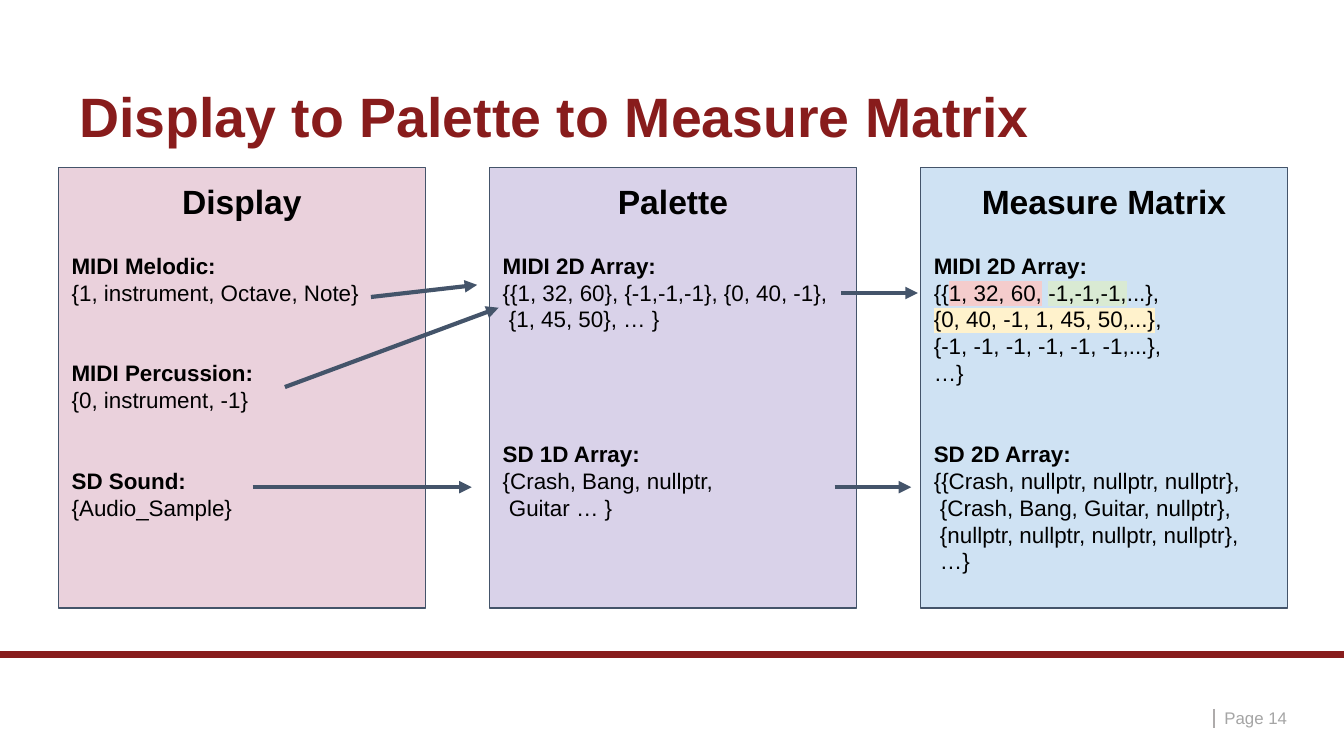
import pptx
import pptx.util
import pptx.dml.color
import pptx.enum.shapes
import pptx.enum.text
import pptx.oxml.ns
from lxml import etree

RGB = pptx.dml.color.RGBColor
MAROON = RGB(0x88, 0x1C, 0x1C)
SLATE = RGB(0x44, 0x54, 0x6A)
BLACK = RGB(0, 0, 0)
GREY = RGB(0xA5, 0xA5, 0xA5)
LIGHT_GREY = RGB(0xAE, 0xAB, 0xAB)
PINK = RGB(0xEA, 0xD1, 0xDC)
LILAC = RGB(0xD9, 0xD2, 0xE9)
SKY = RGB(0xCF, 0xE2, 0xF3)
ROSE = RGB(0xF4, 0xCC, 0xCC)
MINT = RGB(0xD9, 0xEA, 0xD3)
CREAM = RGB(0xFF, 0xF2, 0xCC)

ANCHOR = pptx.enum.text.MSO_ANCHOR
ALIGN = pptx.enum.text.PP_ALIGN
COLUMNS, ROWS = 100, 56.25  # grid of 0.1 inch cells on a 16:9 slide
LINE = 14.4  # height of a body line in points
HEADING_GAP = 16.5

PANEL_LEFT, PANEL_TOP, PANEL_WIDTH, PANEL_HEIGHT = 4.35, 12.45, 27.3, 32.8
PANEL_STEP = (95.8 - PANEL_WIDTH - PANEL_LEFT) / 2

# Each panel: heading, fill, blocks of (gap before in points, label, lines).
# A line is a string, or a list of (text, highlight) pieces.
PANELS = [
    ("Display", PINK, [
        (HEADING_GAP, "MIDI Melodic:", ["{1, instrument, Octave, Note}"]),
        (2 * LINE, "MIDI Percussion:", ["{0, instrument, -1}"]),
        (2 * LINE, "SD Sound:", ["{Audio_Sample}"]),
    ]),
    ("Palette", LILAC, [
        (HEADING_GAP, "MIDI 2D Array:",
         ["{{1, 32, 60}, {-1,-1,-1}, {0, 40, -1},", " {1, 45, 50}, … }"]),
        (4 * LINE, "SD 1D Array:", ["{Crash, Bang, nullptr,", " Guitar … }"]),
    ]),
    ("Measure Matrix", SKY, [
        (HEADING_GAP, "MIDI 2D Array:", [
            [("{{", None), ("1, 32, 60,", ROSE), (" ", None),
             ("-1,-1,-1,", MINT), ("...},", None)],
            [("{0, 40, -1, 1, 45, 50,...}", CREAM), (",", None)],
            "{-1, -1, -1, -1, -1, -1,...},",
            "…}",
        ]),
        (2 * LINE, "SD 2D Array:", [
            "{{Crash, nullptr, nullptr, nullptr},",
            " {Crash, Bang, Guitar, nullptr},",
            " {nullptr, nullptr, nullptr, nullptr},",
            " …}",
        ]),
    ]),
]

# Start column, start row, end column, end row
ARROWS = [
    (27.6, 22.1, 35.5, 21.2),
    (21.2, 28.8, 37.1, 22.9),
    (18.8, 36.25, 35.1, 36.25),
    (62.6, 21.8, 68.3, 21.8),
    (62.1, 36.25, 67.8, 36.25),
]


class SlideBuilder:
    def __init__(self, presentation):
        self.font_name = "Arial"
        self.width = presentation.slide_width
        self.height = presentation.slide_height
        self.slide = presentation.slides.add_slide(presentation.slide_layouts[6])

    def x(self, columns):
        return round(self.width * columns / COLUMNS)

    def y(self, rows):
        return round(self.height * rows / ROWS)

    def area(self, left, top, width, height):
        return self.x(left), self.y(top), self.x(width), self.y(height)

    def frame(self, shape, anchor, side, end):
        """Set wrapping, anchor and insets (in inches) of a shape's text."""
        side, end = pptx.util.Inches(side), pptx.util.Inches(end)
        settings = {
            "word_wrap": True, "vertical_anchor": anchor,
            "margin_left": side, "margin_right": side,
            "margin_top": end, "margin_bottom": end,
        }
        for name, value in settings.items():
            setattr(shape.text_frame, name, value)
        return shape.text_frame

    def run(self, paragraph, text, size, colour=BLACK, bold=False, highlight=None):
        run = paragraph.add_run()
        run.text = text
        font = {"name": self.font_name, "size": pptx.util.Pt(size), "bold": bold}
        for name, value in font.items():
            setattr(run.font, name, value)
        run.font.color.rgb = colour
        if highlight is not None:
            qn = pptx.oxml.ns.qn
            mark = etree.Element(qn("a:highlight"))
            etree.SubElement(mark, qn("a:srgbClr"), val=str(highlight))
            # The schema wants the highlight right after the text fill
            run._r.rPr.find(qn("a:solidFill")).addnext(mark)

    def paragraph(self, frame, pieces, size, bold=False, align=ALIGN.LEFT, gap=0):
        paragraph = frame.add_paragraph()
        paragraph.alignment = align
        paragraph.space_before = pptx.util.Pt(gap)
        for text, highlight in pieces:
            self.run(paragraph, text, size, bold=bold, highlight=highlight)

    def text(self, area, words, size, colour, bold=False, spacing=1.0):
        box = self.slide.shapes.add_textbox(*self.area(*area))
        paragraph = self.frame(box, ANCHOR.MIDDLE, 0.07, 0.04).paragraphs[0]
        paragraph.line_spacing = spacing
        self.run(paragraph, words, size, colour, bold)

    def rectangle(self, area, fill, outline=None):
        kind = pptx.enum.shapes.MSO_SHAPE.RECTANGLE
        shape = self.slide.shapes.add_shape(kind, *self.area(*area))
        shape.shadow.inherit = False
        shape.fill.solid()
        shape.fill.fore_color.rgb = fill
        if outline is None:
            shape.line.fill.background()
        else:
            shape.line.color.rgb = outline
            shape.line.width = pptx.util.Pt(0.75)
        return shape

    def panel(self, area, fill, heading, blocks):
        shape = self.rectangle(area, fill, SLATE)
        frame = self.frame(shape, ANCHOR.TOP, 0.1, 0.1)
        first = frame.paragraphs[0]
        first.alignment = ALIGN.CENTER
        self.run(first, heading, 18, bold=True)
        for gap, label, lines in blocks:
            self.paragraph(frame, [(label, None)], 12, bold=True, gap=gap)
            for line in lines:
                pieces = [(line, None)] if isinstance(line, str) else line
                self.paragraph(frame, pieces, 12)

    def line(self, ends, colour, weight, arrow=False):
        x1, y1, x2, y2 = ends
        connector = self.slide.shapes.add_connector(
            pptx.enum.shapes.MSO_CONNECTOR.STRAIGHT,
            self.x(x1), self.y(y1), self.x(x2), self.y(y2))
        connector.line.color.rgb = colour
        connector.line.width = pptx.util.Pt(weight)
        qn = pptx.oxml.ns.qn
        properties = connector._element.spPr
        if arrow:
            etree.SubElement(properties.find(qn("a:ln")), qn("a:tailEnd"),
                             type="triangle")
        etree.SubElement(properties, qn("a:effectLst"))


def main():
    presentation = pptx.Presentation()
    presentation.slide_width = pptx.util.Inches(10)
    presentation.slide_height = presentation.slide_width * 9 // 16
    builder = SlideBuilder(presentation)

    builder.line((90.35, 52.75, 90.35, 54.2), LIGHT_GREY, 1.25)
    builder.rectangle((0, 48.45, COLUMNS, 0.5), MAROON)
    builder.text((5.2, 6.1, 89.8, 5.6), "Display to Palette to Measure Matrix",
                 29.7, MAROON, bold=True, spacing=0.9)
    for index, (heading, fill, blocks) in enumerate(PANELS):
        left = PANEL_LEFT + index * PANEL_STEP
        builder.panel((left, PANEL_TOP, PANEL_WIDTH, PANEL_HEIGHT),
                      fill, heading, blocks)
    for ends in ARROWS:
        builder.line(ends, SLATE, 2.25, arrow=True)
    builder.text((90.4, 52.7, 7.9, 1.4), "Page 14", 9, GREY)
    presentation.save("out.pptx")


if __name__ == "__main__":
    main()
